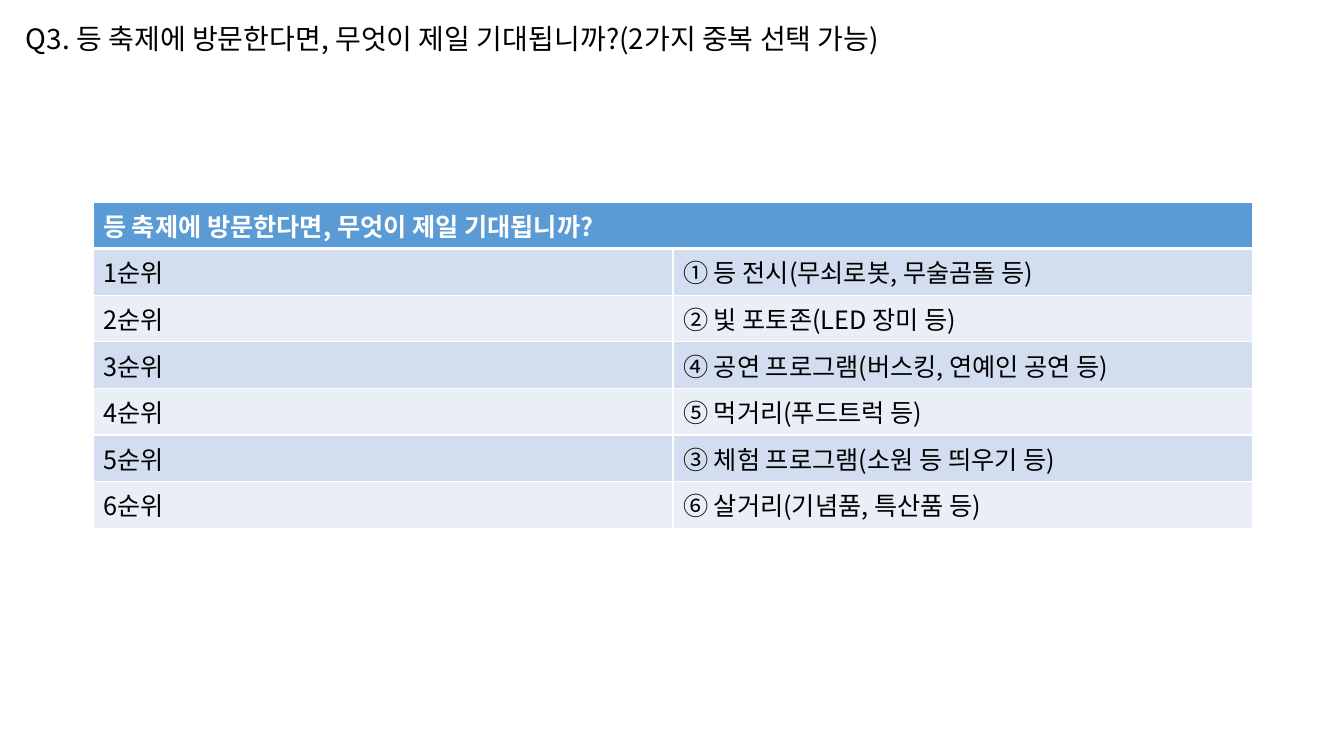
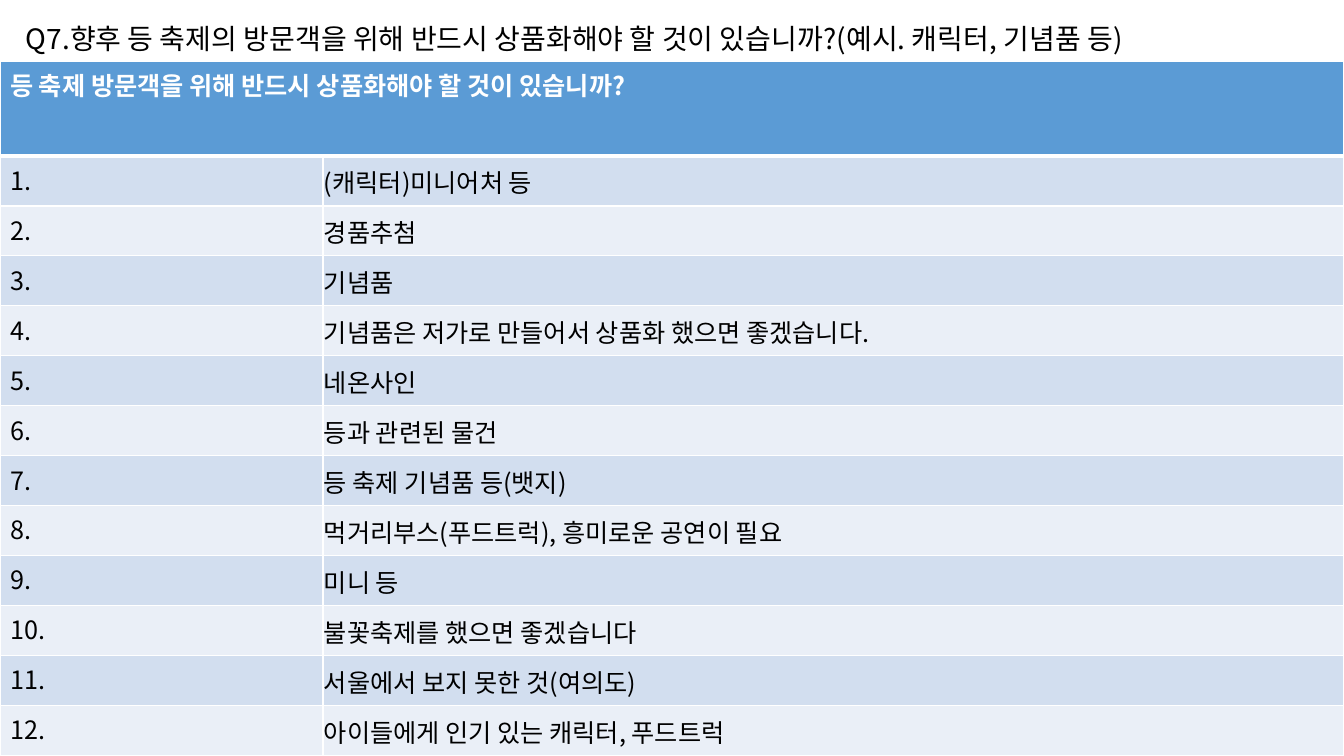
from dataclasses import dataclass

from lxml.etree import SubElement as Sub
from pptx import Presentation
from pptx.dml.color import RGBColor as Rgb
from pptx.enum.text import MSO_ANCHOR as Anchor, MSO_AUTO_SIZE as Fit
from pptx.oxml.ns import qn
from pptx.util import Pt

WIDE, HIGH = 1344, 756
SCALE = 12192000 / WIDE


@dataclass(frozen=True)
class Theme:
    """Colours, type sizes, rules and font of the deck."""
    font: str = "Noto Sans CJK KR"
    ink: str = "000000"
    white: str = "FFFFFF"
    head: str = "5B9BD5"
    bands: tuple = ("D2DEEF", "EAEFF7")
    title: int = 20
    body: int = 18
    thin: int = 1
    thick: int = 3


LOOK = Theme()


def px(num):
    """Turn px into EMU."""
    return round(num * SCALE)


def write(frame, text, size=LOOK.body, color=LOOK.ink, bold=False):
    """Write one formatted paragraph into a text frame."""
    run = frame.paragraphs[0].add_run()
    run.text = text
    font = run.font
    font.name, font.size, font.bold = LOOK.font, Pt(size), bold
    font.color.rgb = Rgb.from_string(color)
    Sub(font._element, qn("a:ea"), typeface=LOOK.font)


def title(slide, text, box):
    """Place the question line in its box."""
    shape = slide.shapes.add_textbox(*map(px, box))
    frame = shape.text_frame
    frame.word_wrap = False
    frame.auto_size = Fit.SHAPE_TO_FIT_TEXT
    write(frame, text, size=LOOK.title)


def paint(cell, fill, top=LOOK.thin, base=LOOK.thin):
    """Give a cell its white rules and its fill."""
    props = cell._tc.get_or_add_tcPr()
    for side, width in zip("LRTB", (LOOK.thin, LOOK.thin, top, base)):
        line = Sub(props, qn(f"a:ln{side}"), w=str(Pt(width)))
        Sub(Sub(line, qn("a:solidFill")), qn("a:srgbClr"), val=LOOK.white)
    cell.fill.solid()
    cell.fill.fore_color.rgb = Rgb.from_string(fill)


def pack(cell):
    """Centre a cell's text vertically and trim its margins."""
    cell.vertical_anchor = Anchor.MIDDLE
    cell.margin_left = cell.margin_right = cell.margin_top = px(1)
    cell.margin_bottom = 0


def grid(slide, head, rows, box, split, first, tight=False):
    """Draw a two-column banded table under one merged heading."""
    left, top, wide, high = box
    table = slide.shapes.add_table(len(rows) + 1, 2, *map(px, box)).table
    for col, width in zip(table.columns, (split, wide - split)):
        col.width = px(width)
    step = (high - first) // len(rows)
    for num, row in enumerate(table.rows):
        row.height = px(step if num else first)
    for cell in table.rows[0].cells:
        paint(cell, LOOK.head, base=LOOK.thick)
    table.cell(0, 0).merge(table.cell(0, 1))
    write(table.cell(0, 0).text_frame, head, color=LOOK.white, bold=True)
    for num, row in enumerate(rows, 1):
        rule = LOOK.thick if num == 1 else LOOK.thin
        for col, text in enumerate(row):
            cell = table.cell(num, col)
            paint(cell, LOOK.bands[(num - 1) % 2], top=rule)
            write(cell.text_frame, text)
            if tight and col:
                pack(cell)


def page(deck, ask, span, *args, **opts):
    """Add one survey slide with its question and table."""
    slide = deck.slides.add_slide(deck.slide_layouts[6])
    grid(slide, *args, **opts)
    title(slide, ask, (16, 17, span, 44))


HOPES = (
    "① 등 전시(무쇠로봇, 무술곰돌 등)",
    "② 빛 포토존(LED 장미 등)",
    "④ 공연 프로그램(버스킹, 연예인 공연 등)",
    "⑤ 먹거리(푸드트럭 등)",
    "③ 체험 프로그램(소원 등 띄우기 등)",
    "⑥ 살거리(기념품, 특산품 등)",
)
GOODS = (
    "(캐릭터)미니어처 등",
    "경품추첨",
    "기념품",
    "기념품은 저가로 만들어서 상품화 했으면 좋겠습니다.",
    "네온사인",
    "등과 관련된 물건",
    "등 축제 기념품 등(뱃지)",
    "먹거리부스(푸드트럭), 흥미로운 공연이 필요",
    "미니 등",
    "불꽃축제를 했으면 좋겠습니다",
    "서울에서 보지 못한 것(여의도)",
    "아이들에게 인기 있는 캐릭터, 푸드트럭",
)


def main():
    """Build and save the deck."""
    deck = Presentation()
    deck.slide_width, deck.slide_height = px(WIDE), px(HIGH)
    page(deck,
         "Q3. 등 축제에 방문한다면, 무엇이 제일 기대됩니까?(2가지 중복 선택 가능)", 969,
         "등 축제에 방문한다면, 무엇이 제일 기대됩니까?",
         [(f"{num}순위", text) for num, text in enumerate(HOPES, 1)],
         (93, 202, 1160, 287), split=580, first=41)
    page(deck,
         "Q7.향후 등 축제의 방문객을 위해 반드시 상품화해야 할 것이 있습니까?"
         "(예시. 캐릭터, 기념품 등)", 1235,
         "등 축제 방문객을 위해 반드시 상품화해야 할 것이 있습니까?",
         [(f"{num}.", text) for num, text in enumerate(GOODS, 1)],
         (0, 61, WIDE, 695), split=323, first=95, tight=True)
    deck.save("out.pptx")


if __name__ == "__main__":
    main()
